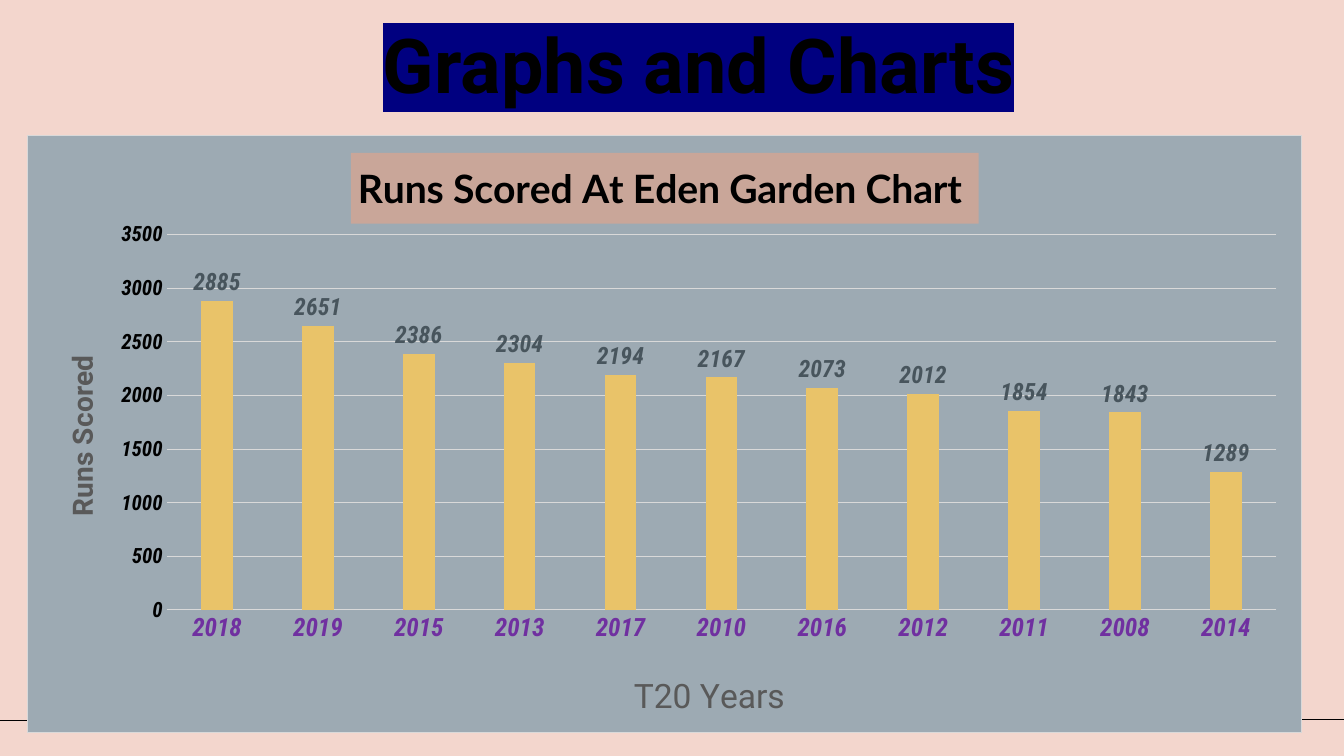
from typing import NamedTuple

from pptx import Presentation
from pptx.chart.data import CategoryChartData
from pptx.dml.color import RGBColor
from pptx.enum.chart import XL_CHART_TYPE as ChartType
from pptx.enum.chart import XL_LABEL_POSITION as LabelPosition
from pptx.enum.chart import XL_TICK_MARK as TickMark
from pptx.enum.shapes import MSO_CONNECTOR as Connector
from pptx.enum.text import MSO_ANCHOR as Anchor
from pptx.enum.text import PP_ALIGN as Align
from pptx.oxml import parse_xml
from pptx.oxml.ns import nsdecls, qn
from pptx.util import Pt

PALE_GREY = "D9D9D9"
AXIS_GREY = "595959"


class Rule(NamedTuple):
    start: float
    end: float
    y: float


class Place(NamedTuple):
    """A position inside the chart, in fractions of its size."""
    x: float
    y: float
    w: float = 0
    h: float = 0


FOOTER_RULES = [
    Rule(0, 66.24, 514.8),
    Rule(95.04, 422.64, 514.8),
    Rule(535.68, 838.08, 514.08),
    Rule(887.76, 960, 514.08),
]
RUNS_BY_YEAR = {
    "2018": 2885, "2019": 2651, "2015": 2386, "2013": 2304,
    "2017": 2194, "2010": 2167, "2016": 2073, "2012": 2012,
    "2011": 1854, "2008": 1843, "2014": 1289,
}

SLIDE_TITLE = dict(name="Roboto", size=Pt(54), bold=True, color="000000")
CHART_TITLE = dict(name="Lato", size=Pt(28), bold=True, color="000000")
YEARS_TITLE = dict(name="Roboto", size=Pt(24), bold=False, color=AXIS_GREY)
RUNS_TITLE = dict(name="Roboto", size=Pt(20), bold=True, color=AXIS_GREY)
CHART_TEXT = dict(name="Roboto Condensed", size=Pt(10), color="000000")
EMPHASIS = dict(name="Roboto Condensed", bold=True, italic=True)
YEAR_TICKS = dict(EMPHASIS, size=Pt(18), color="7030A0")
RUN_TICKS = dict(EMPHASIS, size=Pt(15), color="000000")
RUN_LABELS = dict(EMPHASIS, size=Pt(17), color="48555D")


def paint(fill, colour: str) -> None:
    fill.solid()
    fill.fore_color.rgb = RGBColor.from_string(colour)


def style_line(line, colour: str, width: float) -> None:
    paint(line.fill, colour)
    line.width = Pt(width)


def style_font(font, style: dict) -> None:
    for attribute, value in style.items():
        if attribute == "color":
            paint(font.fill, value)
        else:
            setattr(font, attribute, value)


def write(frame, text: str, style: dict) -> None:
    frame.text = text
    style_font(frame.paragraphs[0].runs[0].font, style)


def set_layout(element, place: Place, index: int, inner: bool = False) -> None:
    """Fix the position of a chart part; index is where its layout belongs."""
    old = element.find(qn("c:layout"))
    if old is not None:
        element.remove(old)
    target = '<c:layoutTarget val="inner"/>' if inner else ""
    modes = '<c:xMode val="edge"/><c:yMode val="edge"/>'
    values = "".join(f'<c:{key} val="{value}"/>'
                     for key, value in place._asdict().items() if value)
    element.insert(index, parse_xml(
        f'<c:layout {nsdecls("c")}><c:manualLayout>{target}{modes}{values}'
        "</c:manualLayout></c:layout>"))


def add_rule(slide, rule: Rule) -> None:
    line = slide.shapes.add_connector(
        Connector.STRAIGHT, Pt(rule.start), Pt(rule.y), Pt(rule.end), Pt(rule.y))
    style_line(line.line, "000000", 1)
    line._element.spPr.append(parse_xml(f'<a:effectLst {nsdecls("a")}/>'))


def add_heading(slide) -> None:
    heading = slide.shapes.title
    heading.left, heading.top = Pt(184.32), Pt(8.64)
    heading.width, heading.height = Pt(629.28), Pt(72.72)
    frame = heading.text_frame
    frame.vertical_anchor = Anchor.MIDDLE
    write(frame, "Graphs and Charts", SLIDE_TITLE)
    paragraph = frame.paragraphs[0]
    paragraph.alignment = Align.CENTER
    # Outline and highlight of the letters
    properties = paragraph.runs[0].font._element
    properties.insert(0, parse_xml(
        f'<a:ln {nsdecls("a")} w="{Pt(0.75)}"><a:solidFill>'
        '<a:srgbClr val="FFFFFF"/></a:solidFill></a:ln>'))
    properties.find(qn("a:latin")).addprevious(parse_xml(
        f'<a:highlight {nsdecls("a")}><a:srgbClr val="000080"/></a:highlight>'))


def style_axis(axis, title: str, title_style: dict, ticks: dict,
               place: Place) -> None:
    write(axis.axis_title.text_frame, title, title_style)
    set_layout(axis.axis_title._element, place, 1)
    axis.major_tick_mark = axis.minor_tick_mark = TickMark.NONE
    style_font(axis.tick_labels.font, ticks)


def add_runs_chart(slide) -> None:
    data = CategoryChartData()
    data.categories = list(RUNS_BY_YEAR)
    data.add_series("Series 1", list(RUNS_BY_YEAR.values()))
    chart = slide.shapes.add_chart(
        ChartType.COLUMN_CLUSTERED, Pt(19.44), Pt(96.48), Pt(910.8), Pt(426.96),
        data).chart
    chart.has_legend = False
    style_font(chart.font, CHART_TEXT)

    # Background and border
    space = chart._chartSpace
    space.find(qn("c:chart")).addnext(parse_xml(
        f'<c:spPr {nsdecls("c", "a")}>'
        '<a:solidFill><a:srgbClr val="9DAAB3"/></a:solidFill>'
        f'<a:ln w="{Pt(0.75)}"><a:solidFill><a:srgbClr val="{PALE_GREY}"/>'
        "</a:solidFill></a:ln></c:spPr>"))
    set_layout(space.chart.plotArea, Place(0.109, 0.166, 0.871, 0.629), 0, True)

    # Title
    chart.has_title = True
    write(chart.chart_title.text_frame, "Runs Scored At Eden Garden Chart ",
          CHART_TITLE)
    paint(chart.chart_title.format.fill, "C9A699")

    # Axes
    years, runs = chart.category_axis, chart.value_axis
    style_axis(years, "T20 Years", YEARS_TITLE, YEAR_TICKS, Place(0.471, 0.89))
    style_axis(runs, "Runs Scored", RUNS_TITLE, RUN_TICKS, Place(0.024, 0.36))
    style_line(years.format.line, PALE_GREY, 0.75)
    runs.format.line.fill.background()
    runs.minimum_scale, runs.maximum_scale, runs.major_unit = 0, 3500, 500
    style_line(runs.major_gridlines.format.line, PALE_GREY, 0.75)

    # Columns and their labels
    plot = chart.plots[0]
    plot.gap_width, plot.overlap, plot.vary_by_categories = 219, -27, False
    columns = plot.series[0]
    paint(columns.format.fill, "E9C369")
    labels = columns.data_labels
    labels.show_value = True
    labels.position = LabelPosition.OUTSIDE_END
    style_font(labels.font, RUN_LABELS)


def main() -> None:
    deck = Presentation()
    deck.slide_width, deck.slide_height = Pt(960), Pt(540)
    slide = deck.slides.add_slide(deck.slide_layouts.get_by_name("Title Only"))
    paint(slide.background.fill, "F3D6CD")
    for rule in FOOTER_RULES:
        add_rule(slide, rule)
    add_runs_chart(slide)
    add_heading(slide)
    deck.save("out.pptx")


if __name__ == "__main__":
    main()
